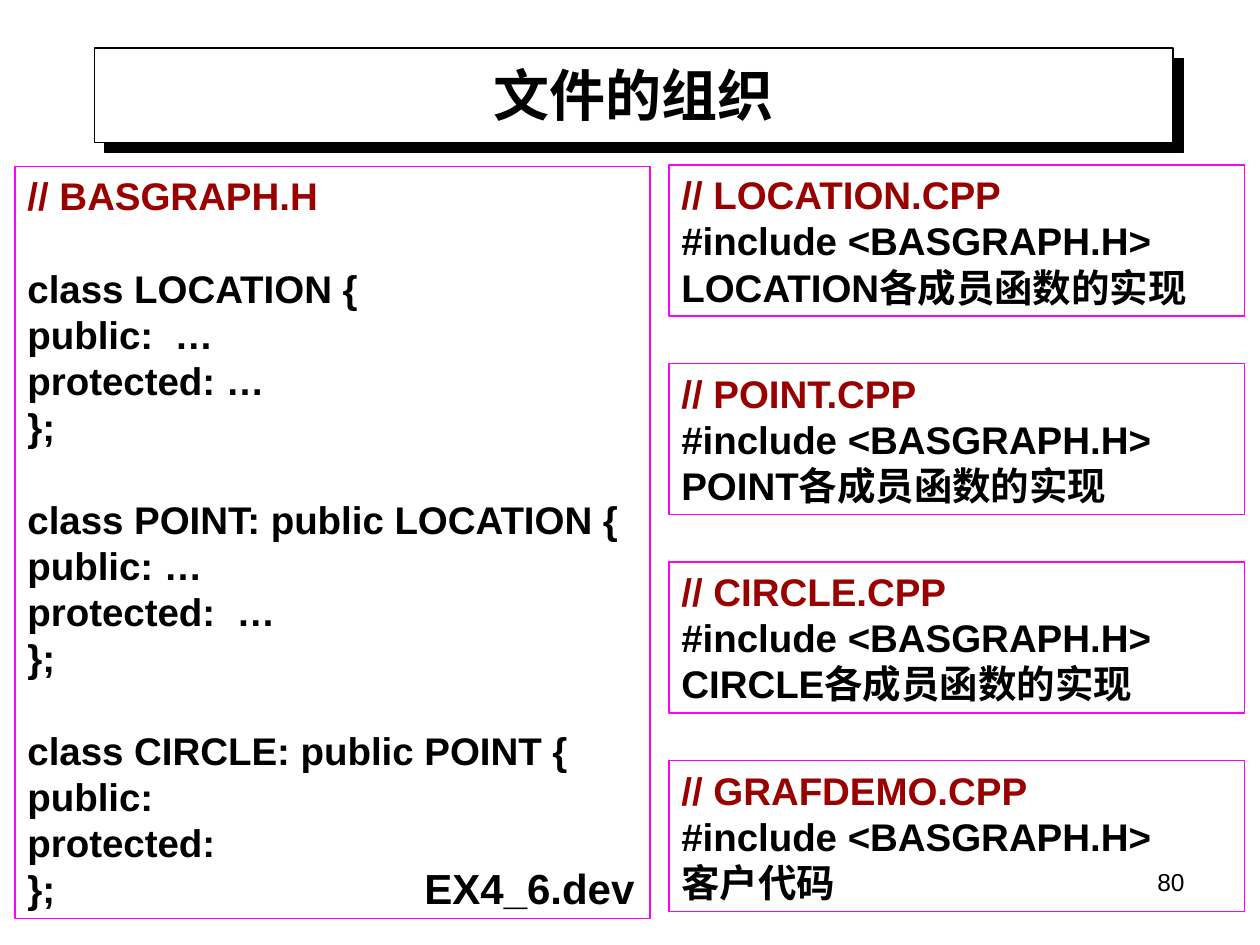
from lxml.etree import SubElement
from pptx import Presentation
from pptx.dml.color import RGBColor
from pptx.enum.shapes import MSO_SHAPE
from pptx.enum.text import MSO_ANCHOR, PP_ALIGN
from pptx.oxml.ns import qn
from pptx.util import Inches, Pt

HUES = {"ink": "000000", "paper": "FFFFFF", "edge": "FF00FF", "note": "990000"}
LEAD = Pt(26.4)


def hue(name):
    return RGBColor.from_string(HUES[name])


def write(shape, lines, size, bold=True, font="Arial", align=PP_ALIGN.LEFT,
          anchor=MSO_ANCHOR.TOP, code=False):
    """Fill a shape with lines; code gets a red first line and gaps before classes."""
    frame = shape.text_frame
    frame.word_wrap = True
    frame.vertical_anchor = anchor
    for i, line in enumerate(lines):
        para = frame.paragraphs[0] if i == 0 else frame.add_paragraph()
        para.text = line
        para.alignment = align
        para.font.name = font
        para.font.size = Pt(size)
        para.font.bold = bold
        para.font.color.rgb = hue("note" if code and i == 0 else "ink")
        if code:
            para.line_spacing = LEAD
            if line.startswith("class"):
                para.space_before = LEAD


deck = Presentation()
deck.slide_width, deck.slide_height = Inches(10), Inches(7.5)
slide = deck.slides.add_slide(deck.slide_layouts[6])
shapes = slide.shapes

# Title panel with a hard shadow
panel = shapes.add_shape(MSO_SHAPE.RECTANGLE, Inches(0.75), Inches(0.38),
                         Inches(8.56), Inches(0.75))
panel.shadow.inherit = False
panel.fill.solid()
panel.fill.fore_color.rgb = hue("paper")
panel.line.color.rgb = hue("ink")
panel.line.width = Pt(0.75)
effects = panel._element.spPr.find(qn("a:effectLst"))
shade = SubElement(effects, qn("a:outerShdw"), dist=str(Pt(8.5)), dir="2700000",
                   algn="ctr", rotWithShape="0")
SubElement(shade, qn("a:srgbClr"), val=HUES["ink"])

number = shapes.add_textbox(Inches(7.17), Inches(6.83), Inches(2.33), Inches(0.52))
write(number, ["80"], 14, bold=False, align=PP_ALIGN.RIGHT)

title = shapes.add_textbox(Inches(0.75), Inches(0.37), Inches(8.56), Inches(0.75))
write(title, ["文件的组织"], 32, font="Times New Roman",
      align=PP_ALIGN.CENTER, anchor=MSO_ANCHOR.MIDDLE)

# Header file on the left, source files on the right
header = [
    "// BASGRAPH.H",
    "class LOCATION {", "public:  …", "protected: …", "};",
    "class POINT: public LOCATION {", "public: …", "protected:  …", "};",
    "class CIRCLE: public POINT {", "public:", "protected:", "};",
]
sources = [
    ("LOCATION", "LOCATION各成员函数的实现"),
    ("POINT", "POINT各成员函数的实现"),
    ("CIRCLE", "CIRCLE各成员函数的实现"),
    ("GRAFDEMO", "客户代码"),
]
files = [(0.12, 1.32, 5.04, 5.97, header)]
for row, (name, body) in enumerate(sources):
    lines = [f"// {name}.CPP", "#include <BASGRAPH.H>", body]
    files.append((5.31, 1.31 + 1.575 * row, 4.57, 1.2, lines))

for left, top, width, height, lines in files:
    box = shapes.add_shape(MSO_SHAPE.RECTANGLE, Inches(left), Inches(top),
                           Inches(width), Inches(height))
    box.shadow.inherit = False
    box.fill.background()
    box.line.color.rgb = hue("edge")
    box.line.width = Pt(0.75)
    write(box, lines, 22, code=True)

project = shapes.add_textbox(Inches(3.27), Inches(6.8), Inches(1.89), Inches(0.5))
write(project, ["EX4_6.dev"], 24)

deck.save("out.pptx")
